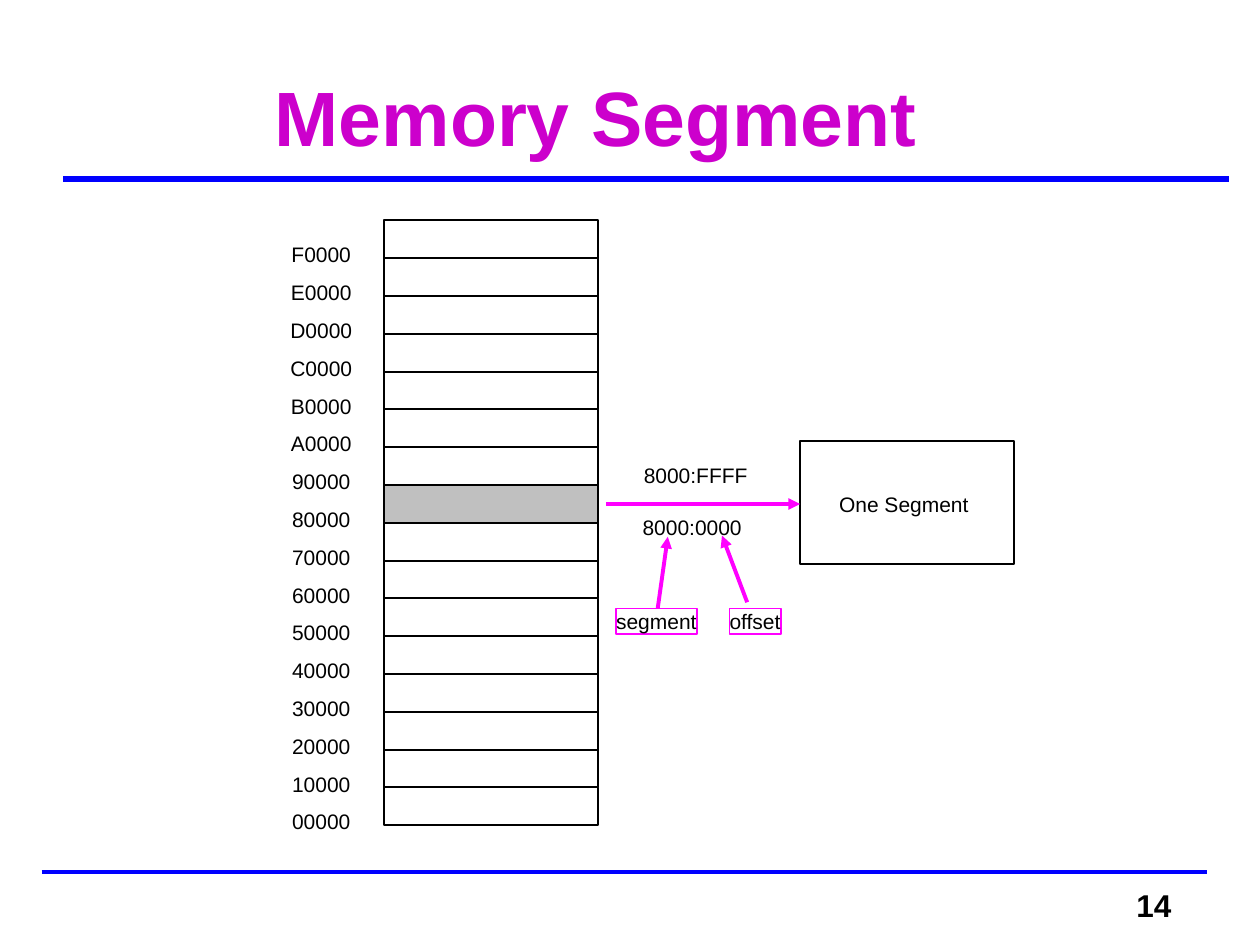
from lxml import etree
from pptx import Presentation
from pptx.dml.color import RGBColor
from pptx.enum import shapes, text
from pptx.oxml.ns import qn
from pptx.util import Inches, Pt

BLACK = "000000"
WHITE = "FFFFFF"
GRAY = "C0C0C0"
BLUE = "0000FF"
MAGENTA = "FF00FF"
PURPLE = "CC00CC"

SEGMENT_COUNT = 16
SHADED_SEGMENT = 8
ROW_HEIGHT = 0.3


def color(hex_string):
    return RGBColor.from_string(hex_string)


def format_text(shape, content, size=12, hex_color=BLACK, bold=False,
                align=text.PP_ALIGN.LEFT):
    frame = shape.text_frame
    frame.text = content
    frame.vertical_anchor = text.MSO_ANCHOR.TOP
    paragraph = frame.paragraphs[0]
    paragraph.alignment = align
    font = paragraph.runs[0].font
    font.name = "Arial"
    font.size = Pt(size)
    font.bold = bold
    font.color.rgb = color(hex_color)


def remove_margins(shape):
    frame = shape.text_frame
    frame.margin_left = frame.margin_right = 0
    frame.margin_top = frame.margin_bottom = 0
    frame.word_wrap = False


def add_label(slide, content, left, top, width, align=text.PP_ALIGN.LEFT):
    label = slide.shapes.add_textbox(
        Inches(left), Inches(top), Inches(width), Inches(0.2))
    remove_margins(label)
    format_text(label, content, align=align)


def add_box(slide, left, top, width, height, fill=None, line=BLACK, weight=1.13):
    box = slide.shapes.add_shape(
        shapes.MSO_SHAPE.RECTANGLE,
        Inches(left), Inches(top), Inches(width), Inches(height))
    box.shadow.inherit = False
    if fill:
        box.fill.solid()
        box.fill.fore_color.rgb = color(fill)
    else:
        box.fill.background()
    box.line.color.rgb = color(line)
    box.line.width = Pt(weight)
    return box


def add_tag(slide, content, left, width):
    """Add an outlined caption for one part of the address."""
    tag = add_box(slide, left, 4.83, width, 0.2, line=MAGENTA, weight=1)
    remove_margins(tag)
    format_text(tag, content)


def add_line(slide, start, end, hex_color, weight, arrow=False):
    line = slide.shapes.add_connector(
        shapes.MSO_CONNECTOR.STRAIGHT,
        *(Inches(value) for value in (*start, *end)))
    line.line.color.rgb = color(hex_color)
    line.line.width = Pt(weight)
    if arrow:
        etree.SubElement(line.line._get_or_add_ln(), qn("a:tailEnd"), type="triangle")
    etree.SubElement(line._element.spPr, qn("a:effectLst"))


def add_title(slide, content):
    title = slide.shapes.title
    title.left, title.top = Inches(2.08), Inches(0.5)
    title.width, title.height = Inches(6.75), Inches(1.25)
    format_text(title, content, size=44, hex_color=PURPLE, bold=True)


def add_memory_map(slide):
    """Stack the segments upwards, each labelled with its start address."""
    for index in range(SEGMENT_COUNT):
        rise = index * ROW_HEIGHT
        fill = GRAY if index == SHADED_SEGMENT else WHITE
        add_box(slide, 3.05, 6.25 - rise, 1.7, ROW_HEIGHT, fill)
        add_label(slide, f"{index:X}0000", 2.28, 6.42 - rise, 0.54,
                  text.PP_ALIGN.CENTER)


def add_segment_detail(slide):
    add_box(slide, 6.35, 3.5, 1.7, 0.98, WHITE)
    add_label(slide, "One Segment", 6.66, 3.9, 1.06)
    add_label(slide, "8000:0000", 5.1, 4.08, 0.82)
    add_label(slide, "8000:FFFF", 5.11, 3.67, 0.86)
    add_tag(slide, "segment", 4.89, 0.64)
    add_tag(slide, "offset", 5.79, 0.41)
    for start, end in (((4.81, 4), (6.35, 4)),
                       ((5.22, 4.83), (5.3, 4.26)),
                       ((5.93, 4.78), (5.73, 4.25))):
        add_line(slide, start, end, MAGENTA, 2.25, arrow=True)


def add_page_number(slide, number):
    box = slide.shapes.add_textbox(
        Inches(8.92), Inches(6.98), Inches(0.75), Inches(0.52))
    box.text_frame.word_wrap = True
    format_text(box, number, size=18, bold=True)


def main():
    presentation = Presentation()
    presentation.slide_width = Inches(10)
    presentation.slide_height = Inches(7.5)
    slide = presentation.slides.add_slide(presentation.slide_layouts[5])

    add_line(slide, (0.33, 6.92), (9.58, 6.92), BLUE, 2.25)
    add_title(slide, "Memory Segment")
    add_memory_map(slide)
    add_segment_detail(slide)
    add_page_number(slide, "14")
    add_line(slide, (0.5, 1.42), (9.75, 1.42), BLUE, 3)

    presentation.save("out.pptx")


if __name__ == "__main__":
    main()
